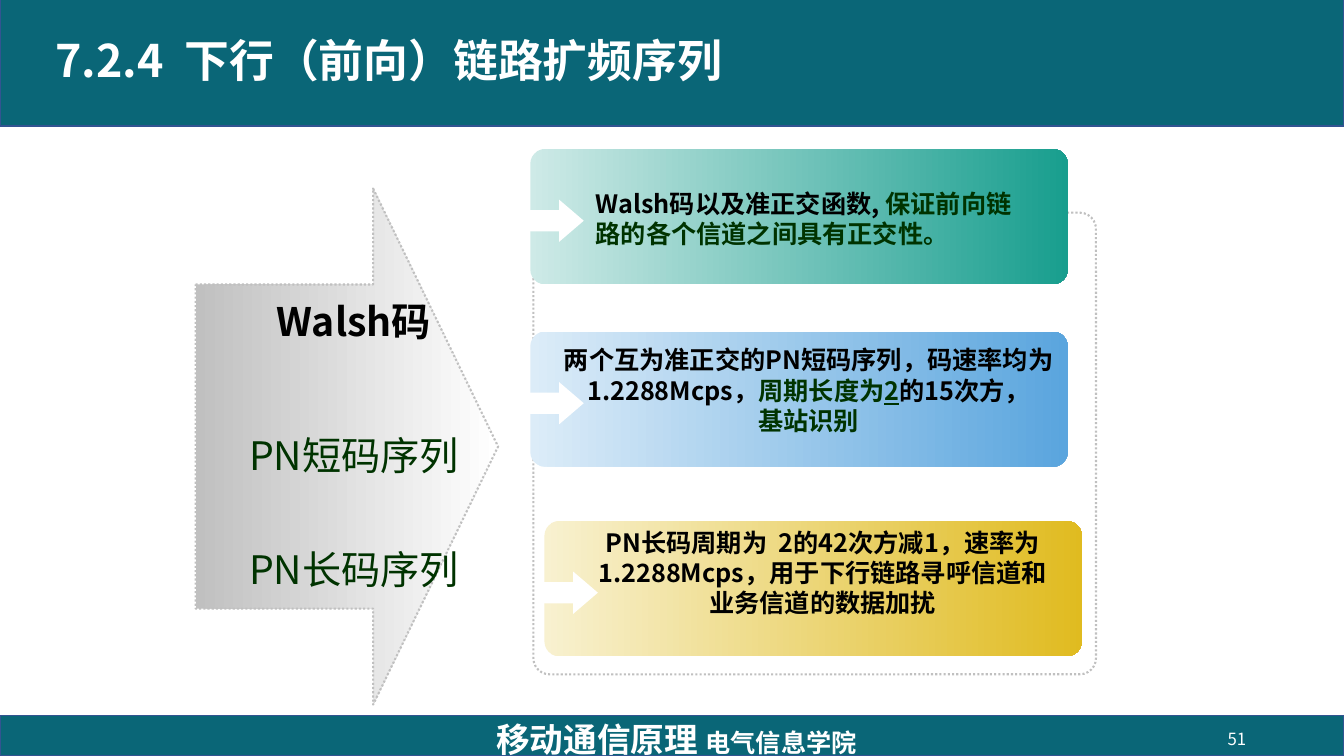
from pptx import Presentation
from pptx.dml.color import RGBColor
from pptx.enum.dml import MSO_LINE as Dash
from pptx.enum.shapes import MSO_SHAPE as Shape
from pptx.enum.text import MSO_ANCHOR as Anchor, PP_ALIGN as Align
from pptx.oxml.ns import qn
from pptx.util import Inches, Pt
from lxml.etree import SubElement

FONT = "Noto Sans CJK SC"
TEAL, GREEN, GREY, WHITE, BLACK = "0A6677", "003300", "C0C0C0", "FFFFFF", "000000"


def color(code):
    """Turn a hex string into a colour."""
    return RGBColor.from_string(code)


def place(item, box):
    """Set the box of an item in inches."""
    item.left, item.top, item.width, item.height = map(Inches, box)


def draw(parent, kind, box, fill=None, line=None, width=1, dash=None, adj=()):
    """Add a preset shape; a pair of fills makes a gradient."""
    item = parent.shapes.add_shape(kind, *map(Inches, box))
    item.shadow.inherit = False
    for i, value in enumerate(adj):
        item.adjustments[i] = value
    if fill is None:
        item.fill.background()
    elif isinstance(fill, tuple):
        item.fill.gradient()
        item.fill.gradient_angle = 0
        for stop, code in zip(item.fill.gradient_stops, fill):
            stop.color.rgb = color(code)
    else:
        item.fill.solid()
        item.fill.fore_color.rgb = color(fill)
    if line:
        item.line.color.rgb = color(line)
        item.line.width = Pt(width)
        item.line.dash_style = dash
    else:
        item.line.fill.background()
    return item


def write(frame, paras, size=18, fill=BLACK, bold=True, align=Align.LEFT,
          anchor=Anchor.TOP, gaps=(), lead=None):
    """Fill a frame with paragraphs of (text, changes) runs."""
    frame.word_wrap = True
    frame.vertical_anchor = anchor
    for i, runs in enumerate(paras):
        para = frame.paragraphs[0] if i == 0 else frame.add_paragraph()
        para.alignment = align
        para.space_before = Pt(gaps[i] if gaps else 0)
        para.line_spacing = lead
        for words, change in runs:
            run = para.add_run()
            run.text = words
            font = run.font
            font.name = FONT
            font.size = Pt(change.get("size", size))
            font.bold = change.get("bold", bold)
            font.underline = change.get("under")
            font.color.rgb = color(change.get("fill", fill))
            SubElement(run._r.rPr, qn("a:ea")).set("typeface", FONT)


def label(slide, box, paras, **form):
    """Add a text box."""
    write(slide.shapes.add_textbox(*map(Inches, box)).text_frame, paras, **form)


def header(slide, box):
    """Draw the top band and the title."""
    x, y, w, h = box
    draw(slide, Shape.RECTANGLE, box, TEAL, "325491")
    title = slide.shapes.title
    place(title, (x + 0.45, y - 0.09, 11.5, h + 0.19))
    write(title.text_frame, [[("7.2.4  下行（前向）链路扩频序列", {})]], size=32,
          fill=WHITE, anchor=Anchor.MIDDLE, lead=0.9)
    slide.shapes._spTree.append(title._element)


def footer(slide, box):
    """Draw the bottom band with course and page number."""
    x, y, w, h = box
    draw(slide, Shape.RECTANGLE, box, TEAL, "325491")
    form = dict(fill=WHITE, anchor=Anchor.MIDDLE)
    label(slide, (x + 9.46, y + 0.03, 3, h), [[("51", {})]], size=12,
          bold=False, align=Align.RIGHT, **form)
    label(slide, (x + 4.46, y + 0.03, 4.5, h),
          [[("移动通信原理 ", {"size": 24}), ("电气信息学院", {})]],
          align=Align.CENTER, **form)


def codes(slide, box):
    """Draw the big arrow that lists the three codes."""
    x, y, w, h = box
    draw(slide, Shape.RIGHT_ARROW, box, (GREY, WHITE), GREY, 1.5,
         Dash.ROUND_DOT, (0.628, 0.413))
    thin = {"fill": GREEN, "bold": False}
    label(slide, (x + 0.36, y + 1.03, 2.42, 3.56),
          [[("  Walsh码".strip(), {})], [("PN短码序列", thin)], [("PN长码序列", thin)]],
          size=28, align=Align.CENTER, gaps=(0, 62, 48))


def card(slide, box, tint, area, paras, **form):
    """Draw a tinted card with its small arrow and text."""
    x, y, w, h = box
    group = slide.shapes.add_group_shape()
    draw(group, Shape.ROUNDED_RECTANGLE, box, tint, adj=(0.109,))
    draw(group, Shape.RIGHT_ARROW, (x - 0.05, y + 0.5, 0.58, 0.42), WHITE,
         adj=(0.5, 0.583))
    dx, dy, tw, th = area
    label(slide, (x + dx, y + dy, tw, th), paras, **form)


def cards(slide, box):
    """Draw the dotted frame and its three cards."""
    x, y, w, h = box
    draw(slide, Shape.ROUNDED_RECTANGLE, box, None, GREY, 1.5, Dash.ROUND_DOT, (0.035,))
    green = {"fill": GREEN}
    size = (5.33, 1.34)
    card(slide, (x - 0.03, y - 0.63, *size), ("CEEAE7", "189E8E"),
         (0.55, 0.34, 4.41, 1.08),
         [[("Walsh码以及准正交函数, ", {}),
           ("保证前向链路的各个信道之间具有正交性。", green)]], gaps=(4.5,))
    card(slide, (x - 0.03, y + 1.18, *size), ("DCECF8", "5AA5DE"),
         (-0.1, 0.08, 5.72, 1.32),
         [[("两个互为准正交的PN短码序列，码速率均为1.2288Mcps，", {}),
           ("周期长度为", green), ("2", {"fill": GREEN, "under": True}),
           ("的15次方，", {})], [("基站识别", green)]], align=Align.CENTER)
    card(slide, (x + 0.11, y + 3.06, *size), ("F8F1D0", "E0BB20"),
         (-0.27, 0.01, 6.06, 1.01),
         [[("PN长码周期为  2的42次方减1，速率为", {})],
          [("1.2288Mcps，用于下行链路寻呼信道和", {})],
          [("业务信道的数据加扰", {})]], align=Align.CENTER)


def main():
    """Build and save the slide."""
    deck = Presentation()
    deck.slide_width, deck.slide_height = Inches(13.33), Inches(7.5)
    slide = deck.slides.add_slide(deck.slide_layouts[5])
    header(slide, (0, -0.01, 13.33, 1.26))
    footer(slide, (0, 7.1, 13.33, 0.4))
    codes(slide, (1.94, 1.87, 3, 5.12))
    cards(slide, (5.29, 2.11, 5.58, 4.58))
    deck.save("out.pptx")


if __name__ == "__main__":
    main()
